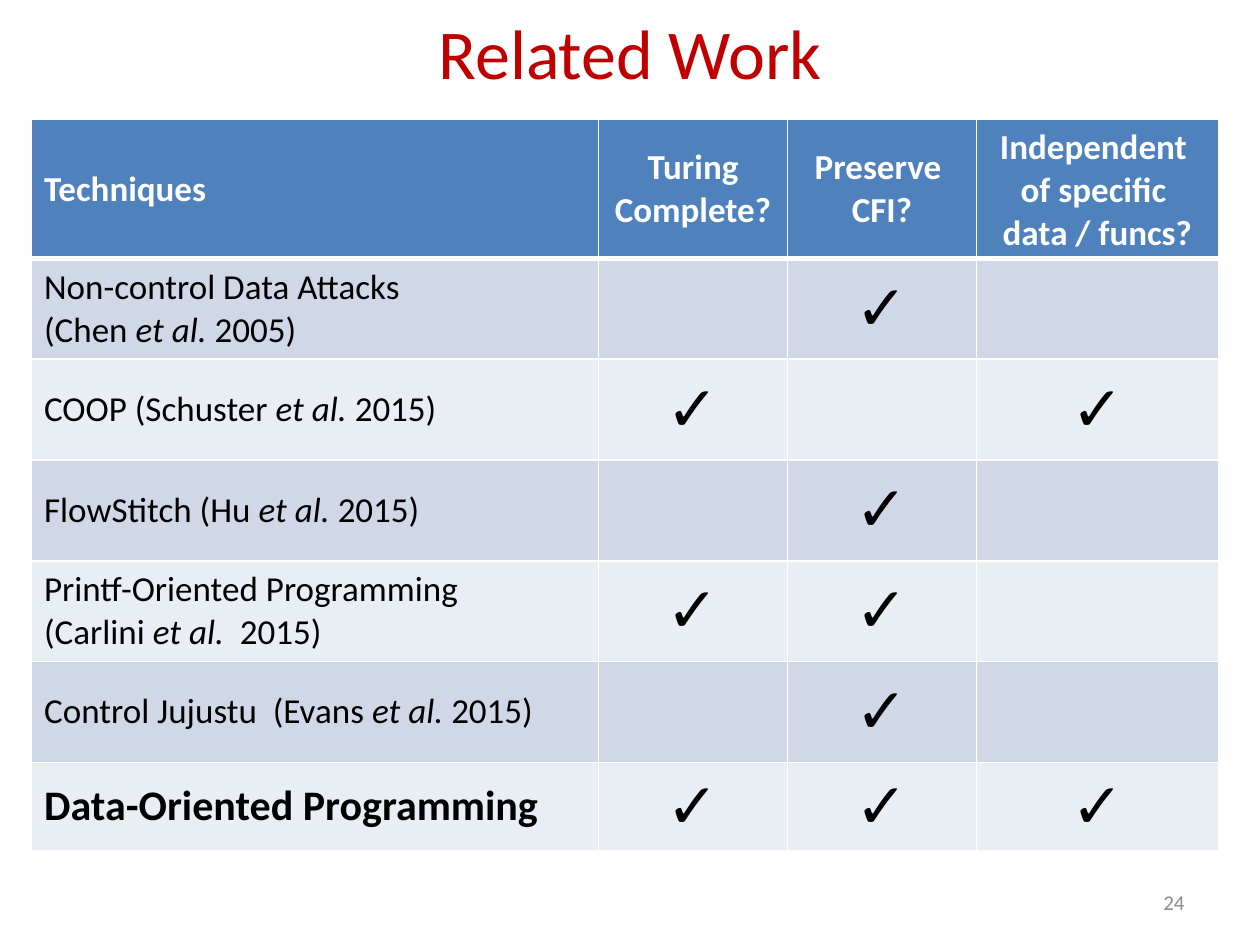
from dataclasses import dataclass

from lxml.etree import SubElement
from pptx import Presentation
from pptx.dml.color import RGBColor
from pptx.enum.text import MSO_ANCHOR, PP_ALIGN
from pptx.oxml.ns import qn
from pptx.util import Inches, Pt

WIDTH, HEIGHT = Inches(10), Inches(7.5)
FONT = "Calibri"
RED = RGBColor(0xC0, 0x00, 0x00)
GREY = RGBColor(0x8C, 0x8C, 0x8C)
WHITE = RGBColor(0xFF, 0xFF, 0xFF)
BLACK = RGBColor(0x00, 0x00, 0x00)
HEADER_BLUE = RGBColor(0x4F, 0x81, 0xBD)
BANDS = (RGBColor(0xD0, 0xD8, 0xE8), RGBColor(0xE9, 0xED, 0xF4))

COLUMN_WEIGHTS = (4.5, 1.5, 1.5, 1.92)
ROW_WEIGHTS = (1.1, 0.8, 0.8, 0.8, 0.8, 0.8, 0.7)
HEADINGS = (
    ("Techniques",),
    ("Turing", "Complete?"),
    ("Preserve ", "CFI?"),
    ("Independent ", "of specific ", "data / funcs?"),
)
ET_AL = "et al. "
TECHNIQUES = (
    ((("Non-control Data Attacks",), ("(Chen ", ET_AL, "2005)")), (0, 1, 0)),
    ((("COOP (Schuster ", ET_AL, "2015)"),), (1, 0, 1)),
    ((("FlowStitch (Hu ", ET_AL, "2015)"),), (0, 1, 0)),
    ((("Printf-Oriented Programming",), ("(Carlini ", ET_AL + " ", "2015)")), (1, 1, 0)),
    ((("Control Jujustu  (Evans ", ET_AL, "2015)"),), (0, 1, 0)),
    ((("Data-Oriented Programming",),), (1, 1, 1)),
)


@dataclass
class Box:
    """A region in EMU."""
    left: int
    top: int
    width: int
    height: int


def share_box(left, top, width, height):
    """Turn shares of the slide into a box."""
    return Box(round(left * WIDTH), round(top * HEIGHT), round(width * WIDTH), round(height * HEIGHT))


def write(frame, lines, size, color, align=PP_ALIGN.LEFT, bold=False):
    """Write lines of runs, with the citation phrase in italics."""
    for index, line in enumerate(lines):
        paragraph = frame.add_paragraph() if index else frame.paragraphs[0]
        paragraph.alignment = align
        for text in line:
            run = paragraph.add_run()
            run.text = text
            run.font.name = FONT
            run.font.size = Pt(size)
            run.font.bold = bold
            run.font.italic = text.startswith("et al.")
            run.font.color.rgb = color


def add_label(slide, box, text, size, color, align):
    """Place one line of text, centred vertically in its box."""
    label = slide.shapes.add_textbox(box.left, box.top, box.width, box.height)
    frame = label.text_frame
    frame.word_wrap = True
    frame.vertical_anchor = MSO_ANCHOR.MIDDLE
    write(frame, [(text,)], size, color, align)


def dress_cell(cell, fill, top=1, bottom=1):
    """Give a cell white borders, a solid fill and middle anchoring."""
    properties = cell._tc.get_or_add_tcPr()
    for side, points in (("L", 1), ("R", 1), ("T", top), ("B", bottom)):
        border = SubElement(properties, qn(f"a:ln{side}"), w=str(Pt(points)))
        solid = SubElement(border, qn("a:solidFill"))
        SubElement(solid, qn("a:srgbClr"), val=str(WHITE))
    cell.fill.solid()
    cell.fill.fore_color.rgb = fill
    cell.vertical_anchor = MSO_ANCHOR.MIDDLE


def add_comparison(slide, box):
    """Fill the box with the table of techniques and their properties."""
    table = slide.shapes.add_table(
        len(ROW_WEIGHTS), len(COLUMN_WEIGHTS), box.left, box.top, box.width, box.height
    ).table
    for column, weight in zip(table.columns, COLUMN_WEIGHTS):
        column.width = round(box.width * weight / sum(COLUMN_WEIGHTS))
    for row, weight in zip(table.rows, ROW_WEIGHTS):
        row.height = round(box.height * weight / sum(ROW_WEIGHTS))

    for column, heading in enumerate(HEADINGS):
        cell = table.cell(0, column)
        dress_cell(cell, HEADER_BLUE, bottom=3)
        align = PP_ALIGN.CENTER if column else PP_ALIGN.LEFT
        write(cell.text_frame, [(line,) for line in heading], 20, WHITE, align, bold=True)

    for row, (technique, marks) in enumerate(TECHNIQUES, start=1):
        own_work = row == len(TECHNIQUES)
        for column in range(len(COLUMN_WEIGHTS)):
            cell = table.cell(row, column)
            dress_cell(cell, BANDS[(row - 1) % 2], top=3 if row == 1 else 1)
            if column == 0:
                write(cell.text_frame, technique, 24 if own_work else 20, BLACK, bold=own_work)
            elif marks[column - 1]:
                write(cell.text_frame, [("✓",)], 36, BLACK, PP_ALIGN.CENTER)


def main():
    """Build and save the related work slide."""
    deck = Presentation()
    deck.slide_width, deck.slide_height = WIDTH, HEIGHT
    slide = deck.slides.add_slide(deck.slide_layouts[6])
    add_label(slide, share_box(0.05, 0, 0.9, 0.11), "Related Work", 40, RED, PP_ALIGN.CENTER)
    add_label(slide, share_box(0.72, 0.93, 0.23, 0.05), "24", 12, GREY, PP_ALIGN.RIGHT)
    add_comparison(slide, share_box(0.025, 0.95 / 7.5, 0.942, 5.8 / 7.5))
    deck.save("out.pptx")


if __name__ == "__main__":
    main()
